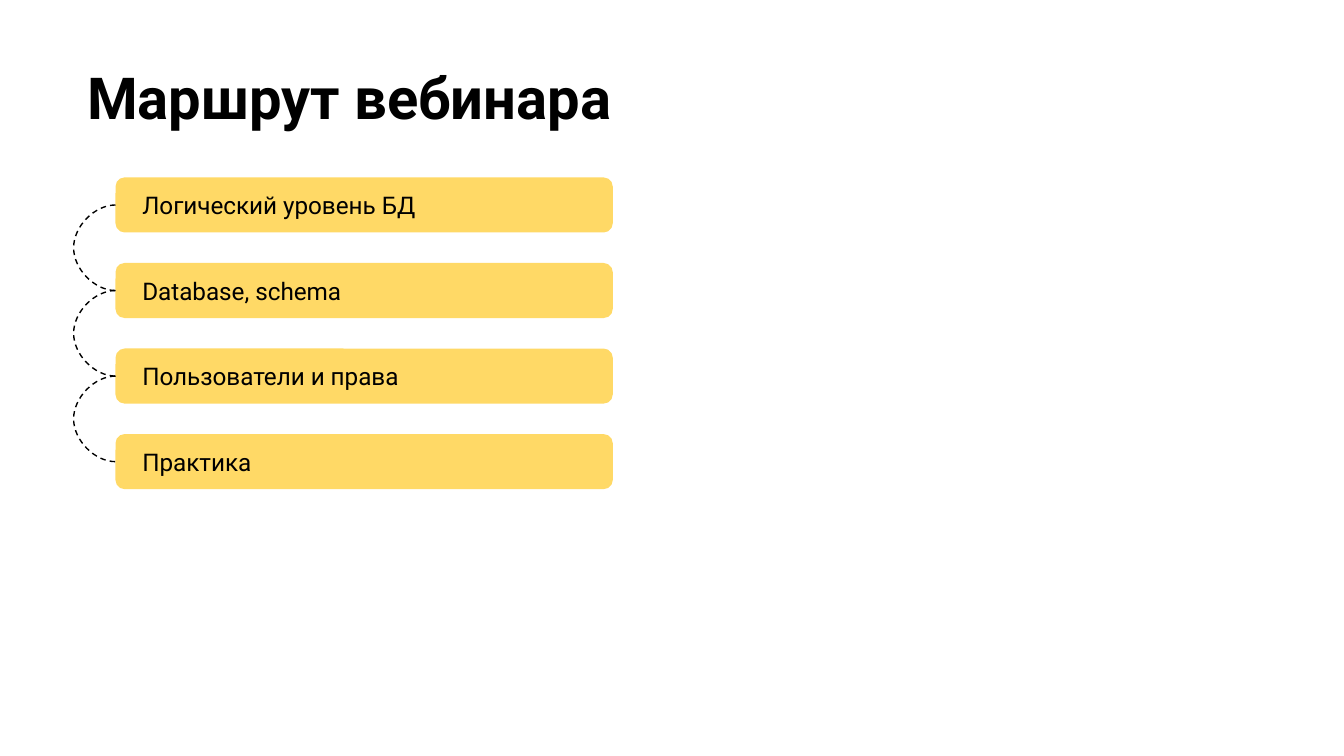
from lxml import etree
from pptx import Presentation
from pptx.dml.color import RGBColor
from pptx.enum.dml import MSO_LINE
from pptx.enum.shapes import MSO_CONNECTOR, MSO_SHAPE
from pptx.enum.text import MSO_ANCHOR, PP_ALIGN
from pptx.oxml.ns import qn
from pptx.util import Emu, Inches, Pt

ROUND = MSO_SHAPE.ROUNDED_RECTANGLE
CURVE = MSO_CONNECTOR.CURVE
DASH = MSO_LINE.DASH
TOP, MID = MSO_ANCHOR.TOP, MSO_ANCHOR.MIDDLE
LEFT = PP_ALIGN.LEFT

TITLE = "Маршрут вебинара"
STEPS = [
    "Логический уровень БД",
    "Database, schema",
    "Пользователи и права",
    "Практика",
]
COLORS = {"ink": "000000", "bar": "FFD966"}
FONT = "Roboto"

WIDE = 10
HIGH = WIDE * 9 / 16
BAR_X, BAR_W, BAR_H = 0.86, 3.7, 0.41
FIRST, LAST = 1.32, 3.23
PITCH = (LAST - FIRST) / (len(STEPS) - 1)
BULGE = 0.26
LEFT_SITE = 1
THIN = 600  # EMU; a curve's bend is a multiple of its width


def color(name):
    return RGBColor.from_string(COLORS[name])


def write(shape, text, size, bold=False, anchor=MID, side=0.1):
    frame = shape.text_frame
    frame.word_wrap = True
    frame.vertical_anchor = anchor
    frame.margin_left = frame.margin_right = Inches(side)
    frame.margin_top = frame.margin_bottom = Inches(0.1)
    para = frame.paragraphs[0]
    para.alignment = LEFT
    run = para.add_run()
    run.text = text
    run.font.name = FONT
    run.font.size = Pt(size)
    run.font.bold = bold
    run.font.color.rgb = color("ink")


def add_bar(slide, row, text):
    box = (BAR_X, FIRST + row * PITCH, BAR_W, BAR_H)
    bar = slide.shapes.add_shape(ROUND, *map(Inches, box))
    bar.adjustments[0] = 0.167
    bar.shadow.inherit = False
    bar.fill.solid()
    bar.fill.fore_color.rgb = color("bar")
    bar.line.fill.background()
    write(bar, text, 13, side=0.18)
    return bar


def link(slide, upper, lower):
    """Join the left sides of two bars with a dashed curve."""
    start, end = (bar.top + bar.height // 2 for bar in (upper, lower))
    curve = slide.shapes.add_connector(
        CURVE, upper.left, start, lower.left, end)
    curve.begin_connect(upper, LEFT_SITE)
    curve.end_connect(lower, LEFT_SITE)
    curve.width = Emu(THIN)
    curve.line.color.rgb = color("ink")
    curve.line.width = Pt(0.75)
    curve.line.dash_style = DASH
    props = curve.element.spPr
    etree.SubElement(props, qn("a:effectLst"))
    bend = round(-Inches(BULGE) / THIN * 100000)
    guides = props.find(qn("a:prstGeom")).find(qn("a:avLst"))
    etree.SubElement(guides, qn("a:gd"), name="adj1", fmla=f"val {bend}")


def main():
    deck = Presentation()
    deck.slide_width, deck.slide_height = Inches(WIDE), Inches(HIGH)
    slide = deck.slides.add_slide(deck.slide_layouts[5])

    title = slide.shapes.title
    title.left, title.top = Inches(0.55), Inches(0.36)
    title.width, title.height = Inches(9.32), Inches(1.2)
    write(title, TITLE, 31, bold=True, anchor=TOP)

    bars = [add_bar(slide, row, text) for row, text in enumerate(STEPS)]
    for upper, lower in zip(bars, bars[1:]):
        link(slide, upper, lower)

    deck.save("out.pptx")


if __name__ == "__main__":
    main()
